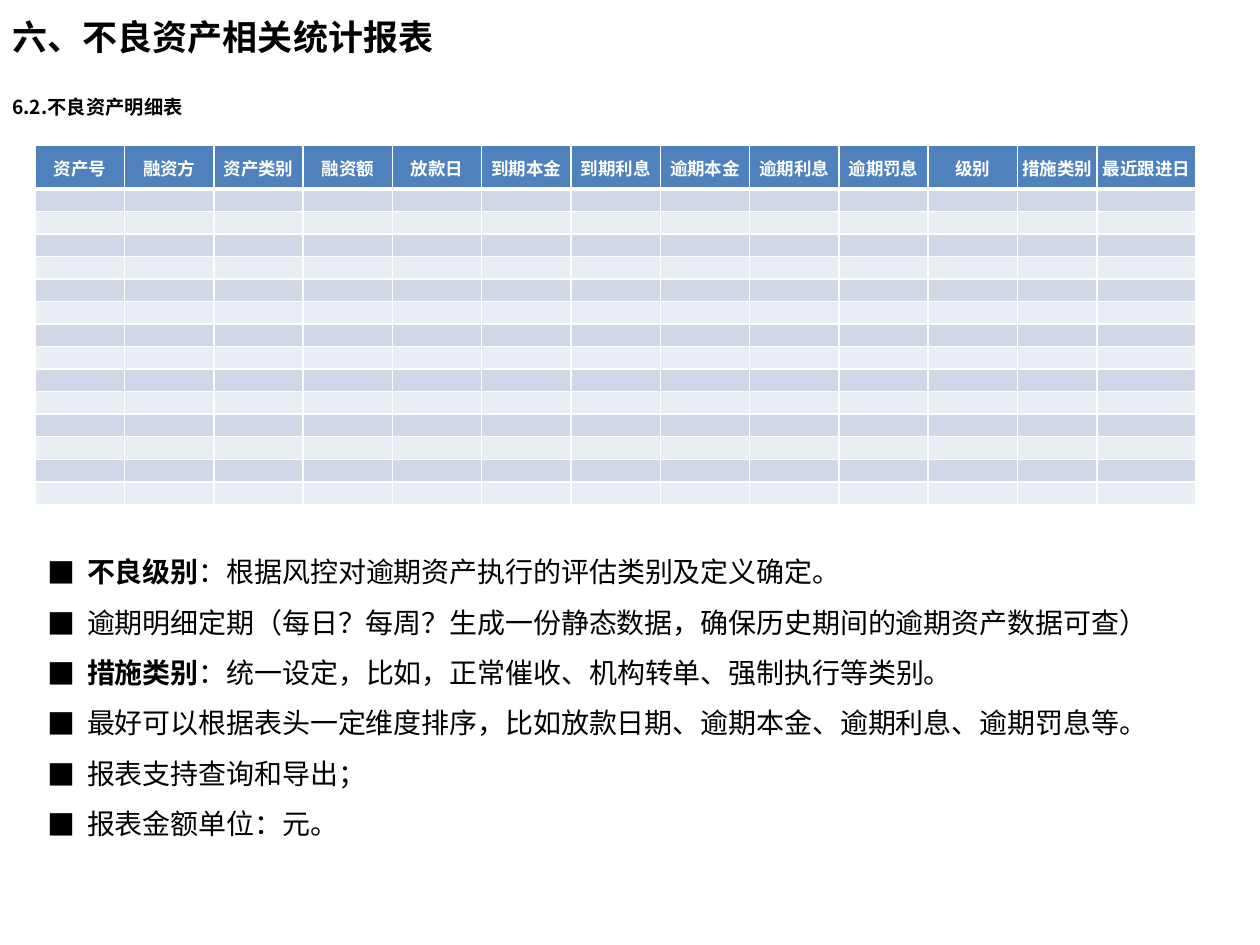
from lxml.etree import SubElement
from pptx import Presentation
from pptx.dml.color import RGBColor
from pptx.enum.text import MSO_ANCHOR, MSO_AUTO_SIZE, PP_ALIGN
from pptx.oxml.ns import qn
from pptx.util import Cm, Pt

BLACK = RGBColor(0, 0, 0)
WHITE = RGBColor(255, 255, 255)
BLUE = RGBColor(0x4F, 0x81, 0xBD)
BANDS = RGBColor(0xD0, 0xD8, 0xE8), RGBColor(0xE9, 0xED, 0xF4)
FONT = "Noto Sans CJK SC"

TITLE = "六、不良资产相关统计报表"
SUBHEAD = "6.2.不良资产明细表"
HEADS = ["资产号", "融资方", "资产类别", "融资额", "放款日", "到期本金", "到期利息",
         "逾期本金", "逾期利息", "逾期罚息", "级别", "措施类别", "最近跟进日"]
WIDTHS = [1.8] * 11 + [1.6, 2.0]
HEAD_H, ROW_H, ROWS = 0.88, 0.454, 14
# Each note is a bold lead and the plain text after it.
NOTES = [
    ("不良级别", "：根据风控对逾期资产执行的评估类别及定义确定。"),
    ("", "逾期明细定期（每日？每周？生成一份静态数据，确保历史期间的逾期资产数据可查）"),
    ("措施类别", "：统一设定，比如，正常催收、机构转单、强制执行等类别。"),
    ("", "最好可以根据表头一定维度排序，比如放款日期、逾期本金、逾期利息、逾期罚息等。"),
    ("", "报表支持查询和导出；"),
    ("", "报表金额单位：元。"),
]


def write(para, text, size, bold=False, color=BLACK, name=FONT, align=PP_ALIGN.LEFT):
    para.alignment = align
    run = para.add_run()
    run.text = text
    font = run.font
    font.size, font.bold, font.name = Pt(size), bold, name
    font.color.rgb = color
    SubElement(run._r.get_or_add_rPr(), qn("a:ea"), typeface=FONT)


def place(shape, left, top, width, height, anchor=MSO_ANCHOR.TOP):
    shape.left, shape.top = Cm(left), Cm(top)
    shape.width, shape.height = Cm(width), Cm(height)
    frame = shape.text_frame
    frame.word_wrap = True
    frame.auto_size = MSO_AUTO_SIZE.NONE
    frame.vertical_anchor = anchor
    return frame


def bullet(para):
    props = para._p.get_or_add_pPr()
    props.set("marL", str(Cm(0.79)))
    props.set("indent", str(-Cm(0.79)))
    SubElement(props, qn("a:buFont"), typeface=FONT)
    SubElement(props, qn("a:buChar"), char="■")


def edge(cell, bottom):
    """Draw white borders round a cell, with the bottom one of the given width."""
    props = cell._tc.get_or_add_tcPr()
    for at, (side, width) in enumerate([("L", 1), ("R", 1), ("T", 1), ("B", bottom)]):
        line = SubElement(props, qn(f"a:ln{side}"), w=str(Pt(width)))
        fill = SubElement(line, qn("a:solidFill"))
        SubElement(fill, qn("a:srgbClr"), val=str(WHITE))
        props.insert(at, line)


def add_grid(slide):
    frame = slide.shapes.add_table(ROWS + 1, len(HEADS), Cm(0.71), Cm(2.93),
                                   Cm(sum(WIDTHS)), Cm(HEAD_H + ROWS * ROW_H))
    table = frame.table
    for col, width in zip(table.columns, WIDTHS):
        col.width = Cm(width)
    for at, row in enumerate(table.rows):
        row.height = Cm(ROW_H if at else HEAD_H)
        for head, cell in zip(HEADS, row.cells):
            cell.margin_left = cell.margin_right = cell.margin_top = Cm(0.02)
            cell.margin_bottom = 0
            cell.vertical_anchor = MSO_ANCHOR.MIDDLE
            cell.fill.solid()
            cell.fill.fore_color.rgb = BANDS[(at - 1) % 2] if at else BLUE
            edge(cell, 1 if at else 3)
            para = cell.text_frame.paragraphs[0]
            if at:
                # Small type keeps the empty rows low.
                SubElement(para._p, qn("a:endParaRPr"), sz="800")
            else:
                write(para, head, 10, bold=True, color=WHITE, name="Calibri",
                      align=PP_ALIGN.CENTER)


def main():
    deck = Presentation()
    deck.slide_width, deck.slide_height = Cm(25.4), Cm(19.05)
    slide = deck.slides.add_slide(deck.slide_layouts[1])
    title, body = slide.placeholders

    frame = place(title, 0, -0.03, 18.7, 1.55, MSO_ANCHOR.MIDDLE)
    write(frame.paragraphs[0], TITLE, 20, bold=True)

    box = slide.shapes.add_textbox(0, 0, 0, 0)
    frame = place(box, 0, 1.8, 21.9, 0.74)
    write(frame.paragraphs[0], SUBHEAD, 11, bold=True)

    add_grid(slide)

    frame = place(body, 0.71, 10.72, 23.4, 7.44)
    for at, (lead, text) in enumerate(NOTES):
        para = frame.add_paragraph() if at else frame.paragraphs[0]
        bullet(para)
        para.line_spacing = 1.5
        para.space_before = Pt(0)
        if lead:
            write(para, lead, 16, bold=True)
        write(para, text, 16)

    deck.save("out.pptx")


if __name__ == "__main__":
    main()
